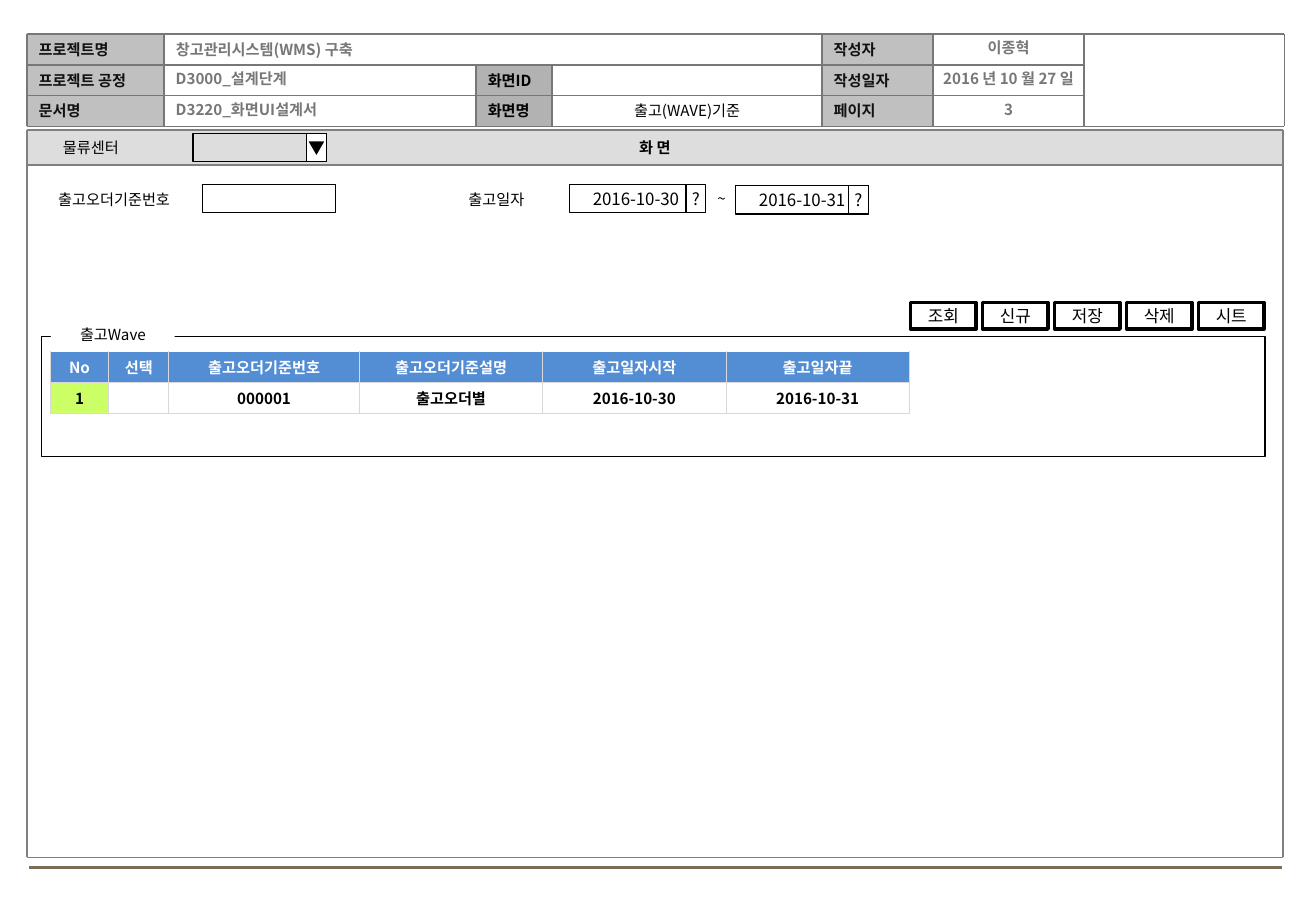
from dataclasses import dataclass

from lxml.etree import SubElement
from pptx import Presentation
from pptx.dml.color import RGBColor
from pptx.enum.shapes import MSO_CONNECTOR, MSO_SHAPE
from pptx.enum.text import MSO_ANCHOR, MSO_AUTO_SIZE, PP_ALIGN
from pptx.oxml.ns import qn
from pptx.shapes.base import BaseShape
from pptx.slide import Slide
from pptx.table import _Cell as Cell
from pptx.text.text import TextFrame
from pptx.util import Emu, Inches, Pt

SLIDE_WIDTH, SLIDE_HEIGHT = Inches(10.84), Inches(7.5)


@dataclass(frozen=True)
class Theme:
    font: str = "Noto Sans CJK KR"
    small: float = 9
    medium: float = 10
    black: str = "000000"
    white: str = "FFFFFF"
    label_ink: str = "111111"
    muted: str = "777777"
    label: str = "C0C0C0"
    screen_label: str = "B2B2B2"
    bar: str = "DDDDDD"
    frame: str = "808080"
    footer: str = "7A6F54"
    table_head: str = "538ED5"
    row_number: str = "CCFF66"
    cell_border: str = "D9D9D9"


THEME = Theme()


@dataclass(frozen=True)
class Box:
    """A rectangle in percent of the slide's width and height."""
    left: float
    top: float
    width: float
    height: float


@dataclass(frozen=True)
class Item:
    box: Box
    text: str = ""
    fill: str | None = None
    line: str | None = None
    line_width: float = 0.75
    ink: str = THEME.black
    size: float = THEME.small
    bold: bool = False
    align: PP_ALIGN = PP_ALIGN.CENTER
    inset: float = 0.02
    wrap: bool = True


@dataclass(frozen=True)
class Rule:
    x1: float
    y1: float
    x2: float
    y2: float
    color: str = THEME.muted
    width: float = 1


def across(percent: float) -> Emu:
    return Emu(round(SLIDE_WIDTH * percent / 100))


def down(percent: float) -> Emu:
    return Emu(round(SLIDE_HEIGHT * percent / 100))


def place(shape: BaseShape, box: Box) -> None:
    shape.left, shape.top = across(box.left), down(box.top)
    shape.width, shape.height = across(box.width), down(box.height)


def format_runs(frame: TextFrame, size: float, ink: str, bold: bool, align: PP_ALIGN) -> None:
    for paragraph in frame.paragraphs:
        paragraph.alignment = align
        paragraph.space_before = Pt(0)
        for run in paragraph.runs:
            run.font.name = THEME.font
            SubElement(run.font._element, qn("a:ea"), typeface=THEME.font)
            run.font.size, run.font.bold = Pt(size), bold
            run.font.color.rgb = RGBColor.from_string(ink)


def write(shape: BaseShape, item: Item) -> None:
    frame = shape.text_frame
    frame.text = item.text
    frame.word_wrap = item.wrap
    frame.auto_size = MSO_AUTO_SIZE.NONE
    frame.vertical_anchor = MSO_ANCHOR.MIDDLE
    frame.margin_left = frame.margin_right = Inches(item.inset)
    frame.margin_top = frame.margin_bottom = 0
    format_runs(frame, item.size, item.ink, item.bold, item.align)


def draw_item(slide: Slide, item: Item) -> None:
    if item.fill is None and item.line is None:
        shape = slide.shapes.add_textbox(0, 0, 0, 0)
    else:
        shape = slide.shapes.add_shape(MSO_SHAPE.RECTANGLE, 0, 0, 0, 0)
        shape.shadow.inherit = False
        if item.fill:
            shape.fill.solid()
            shape.fill.fore_color.rgb = RGBColor.from_string(item.fill)
        else:
            shape.fill.background()
        if item.line:
            shape.line.color.rgb = RGBColor.from_string(item.line)
            shape.line.width = Pt(item.line_width)
        else:
            shape.line.fill.background()
    place(shape, item.box)
    if item.text:
        write(shape, item)


def draw_rule(slide: Slide, rule: Rule) -> None:
    connector = slide.shapes.add_connector(
        MSO_CONNECTOR.STRAIGHT, across(rule.x1), down(rule.y1), across(rule.x2), down(rule.y2))
    connector.line.color.rgb = RGBColor.from_string(rule.color)
    connector.line.width = Pt(rule.width)
    SubElement(connector._element.spPr, qn("a:effectLst"))


def format_cell(cell: Cell, text: str, fill: str | None, ink: str, sides: str) -> None:
    cell.text = text
    cell.vertical_anchor = MSO_ANCHOR.MIDDLE
    cell.margin_left = cell.margin_right = Inches(0.01)
    cell.margin_top = cell.margin_bottom = Inches(0.02)
    format_runs(cell.text_frame, THEME.small, ink, True, PP_ALIGN.CENTER)
    if not text:
        cell.text_frame.paragraphs[0]._p.get_or_add_endParaRPr().set("sz", str(THEME.small * 100))
    properties = cell._tc.get_or_add_tcPr()
    for side in sides:
        border = SubElement(properties, qn(f"a:ln{side}"), w=str(Pt(0.45)))
        solid = SubElement(border, qn("a:solidFill"))
        SubElement(solid, qn("a:srgbClr"), val=THEME.cell_border)
    if fill:
        cell.fill.solid()
        cell.fill.fore_color.rgb = RGBColor.from_string(fill)
    else:
        cell.fill.background()


# Header grid: column edges, row height and cells
HEADER_X = [2.03, 12.45, 36.16, 41.97, 62.45, 70.89, 82.38, 97.6]
HEADER_TOP, HEADER_ROW = 3.73, 3.38
HEADER_Y = [HEADER_TOP + HEADER_ROW * row for row in range(4)]


def header_item(row: int, first: int, last: int, text: str, shift: float = 0, **style) -> Item:
    left = HEADER_X[first]
    box = Box(left, HEADER_Y[row] + shift, HEADER_X[last] - left, HEADER_ROW)
    return Item(box, text, **{"bold": True, "align": PP_ALIGN.LEFT, "inset": 0.1, **style})


LABELS = [(0, 0, "프로젝트명"), (1, 0, "프로젝트 공정"), (2, 0, "문서명"),
          (0, 4, "작성자"), (1, 4, "작성일자"), (2, 4, "페이지")]
SCREEN_LABELS = [(1, "화면ID"), (2, "화면명")]
VALUES = [(0, 1, "창고관리시스템(WMS) 구축", 0), (1, 1, "D3000_설계단계", -0.2),
          (2, 1, "D3220_화면UI설계서", -0.2)]
AUTHOR_VALUES = ["이종혁", "2016 년 10 월 27 일", "3"]
HEADER_ITEMS = (
    [header_item(row, col, col + 1, text, fill=THEME.label, ink=THEME.label_ink)
     for row, col, text in LABELS]
    + [header_item(row, 2, 3, text, fill=THEME.screen_label) for row, text in SCREEN_LABELS]
    + [header_item(row, col, 4 if row == 0 else 2, text, shift, ink=THEME.muted)
       for row, col, text, shift in VALUES]
    + [header_item(row, 5, 6, text, -0.2, ink=THEME.muted, align=PP_ALIGN.CENTER, inset=0, wrap=False)
       for row, text in enumerate(AUTHOR_VALUES)])
HEADER_RULES = (
    [Rule(x, HEADER_Y[1 if col in (2, 3) else 0], x, HEADER_Y[3]) for col, x in enumerate(HEADER_X)]
    + [Rule(HEADER_X[0], y, HEADER_X[6 if row in (1, 2) else 7], y) for row, y in enumerate(HEADER_Y)])

# Screen panel with its title bar, and the footer line
PANEL_LEFT, PANEL_RIGHT = 2.03, 97.5
PANEL_Y = [14.3, 18.13, 94.13]
BAR = Item(Box(PANEL_LEFT, PANEL_Y[0], PANEL_RIGHT - PANEL_LEFT, PANEL_Y[1] - PANEL_Y[0]),
           "화 면", fill=THEME.bar, bold=True)
PANEL_RULES = (
    [Rule(PANEL_LEFT, y, PANEL_RIGHT, y, THEME.frame) for y in PANEL_Y]
    + [Rule(x, PANEL_Y[0], x, PANEL_Y[2], THEME.frame) for x in (PANEL_LEFT, PANEL_RIGHT)])
FOOTER = Rule(2.21, 95.2, 97.42, 95.2, THEME.footer, 1.75)

# Search fields
FIELD_WIDTH, PICKER_WIDTH, FIELD_HEIGHT = 10.1, 1.5, 3.1
CAPTIONS = [(3.87, 14.53, 10.8, "물류센터"), (3.51, 20.27, 11.35, "출고오더기준번호"),
            (34.69, 20.27, 8.76, "출고일자"), (53.6, 20.13, 2.12, "~")]
FIELDS = [(14.67, 14.67, FIELD_WIDTH, "", None), (23.3, 14.67, PICKER_WIDTH, "▼", THEME.white),
          (15.41, 20.27, FIELD_WIDTH, "", THEME.white),
          (43.27, 20.27, FIELD_WIDTH, "2016-10-30", THEME.white),
          (52.12, 20.27, PICKER_WIDTH, "?", THEME.white),
          (55.9, 20.4, FIELD_WIDTH, "2016-10-31", THEME.white),
          (64.48, 20.4, PICKER_WIDTH, "?", THEME.white)]
SEARCH_ITEMS = (
    [Item(Box(left, top, width, 3.33), text, align=PP_ALIGN.LEFT, inset=0.1, wrap=False)
     for left, top, width, text in CAPTIONS]
    + [Item(Box(left, top, width, FIELD_HEIGHT), text, fill, THEME.black,
            size=THEME.medium, wrap=False) for left, top, width, text, fill in FIELDS])

# Wave frame, its caption and the command buttons
WAVE_ITEMS = [Item(Box(3.14, 36.93, 92.99, 13.2), line=THEME.black),
              Item(Box(3.87, 35.07, 9.41, 3.33), "출고Wave", THEME.white)]
BUTTONS = ["조회", "신규", "저장", "삭제", "시트"]
BUTTON_ITEMS = [Item(Box(69.19 + 5.47 * index, 33.2, 4.98, 2.93), text, THEME.white, THEME.black, 2,
                     size=THEME.medium, wrap=False) for index, text in enumerate(BUTTONS)]

# Wave table
TABLE_COLUMNS = [4.43, 4.57, 14.48, 13.93, 13.93, 13.93]
TABLE_ROWS = [3.33, 3.5]
TABLE_TEXT = [["No", "선택", "출고오더기준번호", "출고오더기준설명", "출고일자시작", "출고일자끝"],
              ["1", "", "000001", "출고오더별", "2016-10-30", "2016-10-31"]]


def draw_table(slide: Slide) -> None:
    table = slide.shapes.add_table(
        len(TABLE_ROWS), len(TABLE_COLUMNS), across(3.83), down(38.6),
        across(sum(TABLE_COLUMNS)), down(sum(TABLE_ROWS))).table
    table.first_row = table.horz_banding = False
    for column, width in zip(table.columns, TABLE_COLUMNS):
        column.width = across(width)
    for row, height in zip(table.rows, TABLE_ROWS):
        row.height = down(height)
    for col, (heading, value) in enumerate(zip(*TABLE_TEXT)):
        format_cell(table.cell(0, col), heading, THEME.table_head, THEME.white, "LRB")
        format_cell(table.cell(1, col), value, None if col else THEME.row_number, THEME.black, "LRTB")


def main() -> None:
    presentation = Presentation()
    presentation.slide_width, presentation.slide_height = SLIDE_WIDTH, SLIDE_HEIGHT
    slide = presentation.slides.add_slide(presentation.slide_layouts[5])
    title = header_item(2, 3, 4, "출고(WAVE)기준", -0.1, bold=False, align=PP_ALIGN.CENTER)
    place(slide.shapes.title, title.box)
    write(slide.shapes.title, title)
    for item in [*HEADER_ITEMS, BAR]:
        draw_item(slide, item)
    for rule in [*HEADER_RULES, *PANEL_RULES, FOOTER]:
        draw_rule(slide, rule)
    draw_table(slide)
    for item in [*WAVE_ITEMS, *BUTTON_ITEMS, *SEARCH_ITEMS]:
        draw_item(slide, item)
    presentation.save("out.pptx")


if __name__ == "__main__":
    main()
